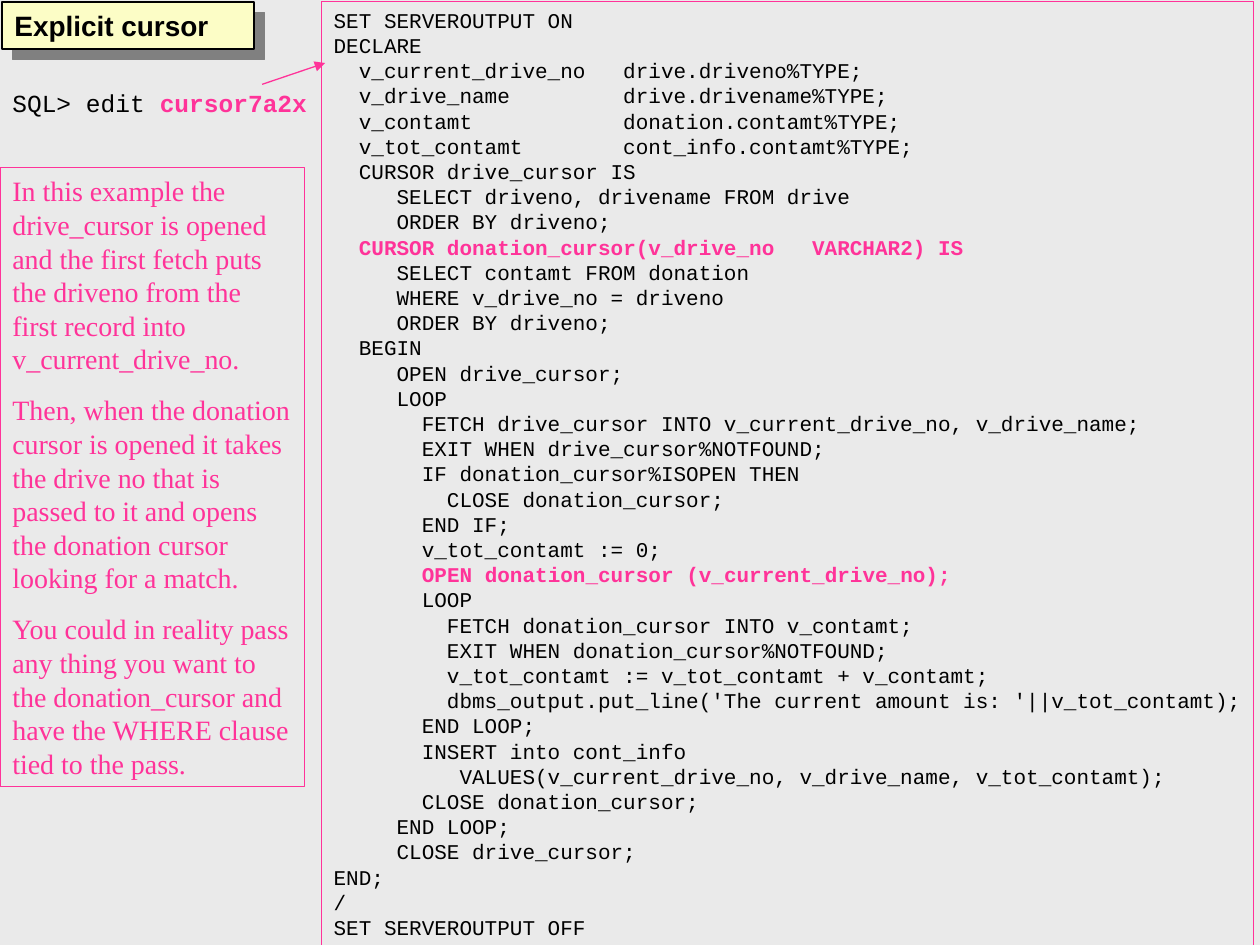
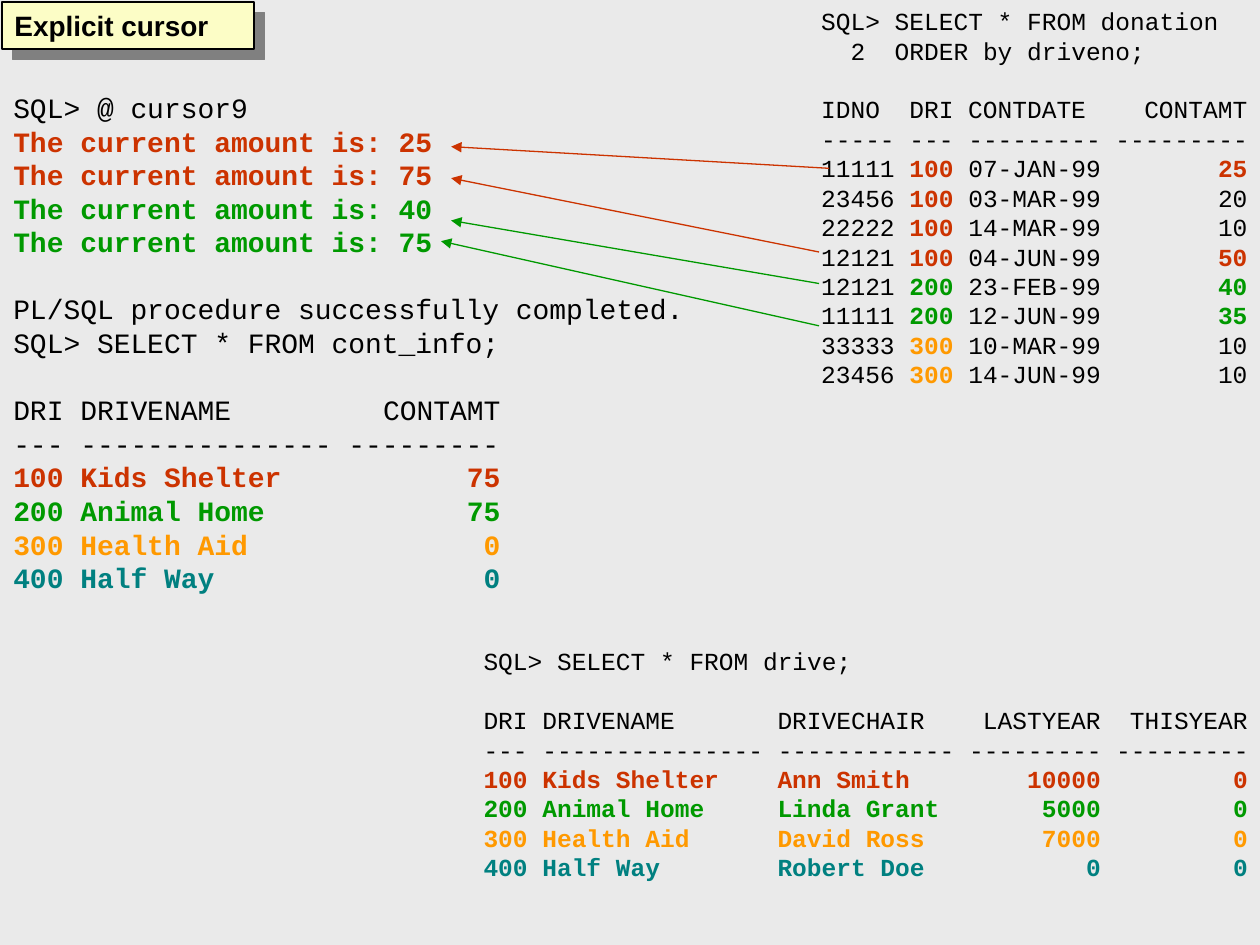
from lxml import etree
from pptx import Presentation
from pptx.dml.color import RGBColor
from pptx.enum.shapes import MSO_CONNECTOR, MSO_SHAPE
from pptx.enum.text import MSO_ANCHOR, PP_ALIGN
from pptx.oxml.ns import qn
from pptx.util import Pt

RECTANGLE = MSO_SHAPE.RECTANGLE
STRAIGHT = MSO_CONNECTOR.STRAIGHT
TOP = MSO_ANCHOR.TOP
LEFT = PP_ALIGN.LEFT

BACKGROUND = RGBColor(0xEA, 0xEA, 0xEA)
TITLE_FILL = RGBColor(0xFC, 0xFD, 0xC6)
BLACK = RGBColor(0x00, 0x00, 0x00)
PINK = RGBColor(0xFF, 0x33, 0x99)
RED = RGBColor(0xCC, 0x33, 0x00)
GREEN = RGBColor(0x00, 0x99, 0x00)
ORANGE = RGBColor(0xFF, 0x99, 0x00)
TEAL = RGBColor(0x00, 0x80, 0x80)
SHADOW_HEX = "808080"

MONO = "Courier New"
SANS = "Arial"
SERIF = "Times New Roman"
LINE_PITCH = 1.2
MONO_ADVANCE = 0.6
LINE_WIDTH = 0.75

DRIVE_COLORS = {"100": RED, "200": GREEN, "300": ORANGE, "400": TEAL}

CURSOR_SCRIPT = [
    "SET SERVEROUTPUT ON",
    "DECLARE",
    "  v_current_drive_no   drive.driveno%TYPE;",
    "  v_drive_name         drive.drivename%TYPE;",
    "  v_contamt            donation.contamt%TYPE;",
    "  v_tot_contamt        cont_info.contamt%TYPE;",
    "  CURSOR drive_cursor IS",
    "     SELECT driveno, drivename FROM drive",
    "     ORDER BY driveno;",
    "  CURSOR donation_cursor(v_drive_no   VARCHAR2) IS",
    "     SELECT contamt FROM donation",
    "     WHERE v_drive_no = driveno",
    "     ORDER BY driveno;",
    "  BEGIN",
    "     OPEN drive_cursor;",
    "     LOOP",
    "       FETCH drive_cursor INTO v_current_drive_no, v_drive_name;",
    "       EXIT WHEN drive_cursor%NOTFOUND;",
    "       IF donation_cursor%ISOPEN THEN",
    "         CLOSE donation_cursor;",
    "       END IF;",
    "       v_tot_contamt := 0;",
    "       OPEN donation_cursor (v_current_drive_no);",
    "       LOOP",
    "         FETCH donation_cursor INTO v_contamt;",
    "         EXIT WHEN donation_cursor%NOTFOUND;",
    "         v_tot_contamt := v_tot_contamt + v_contamt;",
    "         dbms_output.put_line('The current amount is: '||v_tot_contamt);",
    "       END LOOP;",
    "       INSERT into cont_info",
    "          VALUES(v_current_drive_no, v_drive_name, v_tot_contamt);",
    "       CLOSE donation_cursor;",
    "     END LOOP;",
    "     CLOSE drive_cursor;",
    "END;",
    "/",
    "SET SERVEROUTPUT OFF",
]
KEY_STATEMENTS = ("CURSOR donation_cursor", "OPEN donation_cursor")

NOTES = [
    "In this example the drive_cursor is opened and the first fetch puts "
    "the driveno from the first record into v_current_drive_no.",
    "Then, when the donation cursor is opened it takes the drive no that is "
    "passed to it and opens the donation cursor looking for a match.",
    "You could in reality pass any thing you want to the donation_cursor "
    "and have the WHERE clause tied to the pass.",
]

CURSOR_TOTALS = [("25", RED), ("75", RED), ("40", GREEN), ("75", GREEN)]

CONT_INFO = [
    ("100 Kids Shelter", "75"),
    ("200 Animal Home", "75"),
    ("300 Health Aid", "0"),
    ("400 Half Way", "0"),
]

# id, drive, date, amount, whether the amount is highlighted
DONATIONS = [
    ("11111", "100", "07-JAN-99", "25", True),
    ("23456", "100", "03-MAR-99", "20", False),
    ("22222", "100", "14-MAR-99", "10", False),
    ("12121", "100", "04-JUN-99", "50", True),
    ("12121", "200", "23-FEB-99", "40", True),
    ("11111", "200", "12-JUN-99", "35", True),
    ("33333", "300", "10-MAR-99", "10", False),
    ("23456", "300", "14-JUN-99", "10", False),
]

DRIVES = [
    ("100 Kids Shelter", "Ann Smith", "10000", "0"),
    ("200 Animal Home", "Linda Grant", "5000", "0"),
    ("300 Health Aid", "David Ross", "7000", "0"),
    ("400 Half Way", "Robert Doe", "0", "0"),
]


def add_slide(presentation):
    slide = presentation.slides.add_slide(presentation.slide_layouts[6])
    slide.background.fill.solid()
    slide.background.fill.fore_color.rgb = BACKGROUND
    return slide


def add_frame(slide, left, top, width, height, line_color, fill_color=None):
    shape = slide.shapes.add_shape(
        RECTANGLE, Pt(left), Pt(top), Pt(width), Pt(height))
    shape.shadow.inherit = False
    if fill_color is None:
        shape.fill.background()
    else:
        shape.fill.solid()
        shape.fill.fore_color.rgb = fill_color
    shape.line.color.rgb = line_color
    shape.line.width = Pt(LINE_WIDTH)
    shape.text_frame.vertical_anchor = TOP
    return shape


def add_text_box(slide, left, top, width, height):
    return slide.shapes.add_textbox(Pt(left), Pt(top), Pt(width), Pt(height))


def add_tab_stops(paragraph, size, tabs):
    """Place tab stops given as (character column, alignment)."""
    tab_list = etree.SubElement(
        paragraph._p.get_or_add_pPr(), qn("a:tabLst"))
    for column, alignment in tabs:
        etree.SubElement(
            tab_list, qn("a:tab"), algn=alignment,
            pos=str(Pt(column * MONO_ADVANCE * size)))


def write_blocks(shape, blocks, size, font_name=MONO, gap=None, tabs=(),
                 wrap=False, bold=None):
    """Write blocks of lines, each line a list of (text, color) parts.

    Coloured parts are bold unless bold says otherwise. The gap between
    blocks is one line high by default.
    """
    frame = shape.text_frame
    frame.word_wrap = wrap
    pitch = LINE_PITCH * size
    paragraph = None
    for block in blocks:
        for index, parts in enumerate(block):
            first = paragraph is None
            paragraph = frame.paragraphs[0] if first else frame.add_paragraph()
            if tabs:
                add_tab_stops(paragraph, size, tabs)
            paragraph.alignment = LEFT
            paragraph.line_spacing = Pt(pitch)
            if index == 0 and not first:
                paragraph.space_before = Pt(pitch if gap is None else gap)
            paragraph.font.name = font_name
            paragraph.font.size = Pt(size)
            for text, color in parts:
                run = paragraph.add_run()
                run.text = text
                run.font.color.rgb = color
                run.font.bold = color != BLACK if bold is None else bold


def plain(*lines):
    return [[(line, BLACK)] for line in lines]


def drive_rows(rows):
    """Tabbed rows, coloured by the drive number they start with."""
    return [[("\t".join(row), DRIVE_COLORS[row[0][:3]])] for row in rows]


def donation_row(idno, drive, date, amount, highlighted):
    color = DRIVE_COLORS[drive]
    return [(f"{idno}\t", BLACK), (drive, color), (f" {date}\t", BLACK),
            (amount, color if highlighted else BLACK)]


def script_line(line):
    """Split a line so that a key statement stands out from its indent."""
    statement = line.lstrip()
    if not statement.startswith(KEY_STATEMENTS):
        return [(line, BLACK)]
    return [(line[:-len(statement)], BLACK), (statement, PINK)]


def add_title(slide):
    shape = add_frame(slide, 1.2, 1.2, 144, 26.8, BLACK, TITLE_FILL)
    effects = shape._element.spPr.find(qn("a:effectLst"))
    shadow = etree.SubElement(
        effects, qn("a:outerShdw"), dist=str(Pt(8.5)), dir="2700000",
        algn="ctr", rotWithShape="0")
    etree.SubElement(shadow, qn("a:srgbClr"), val=SHADOW_HEX)
    write_blocks(shape, [plain("Explicit cursor")], 16, SANS,
                 wrap=True, bold=True)


def add_arrow(slide, start, end, color):
    connector = slide.shapes.add_connector(
        STRAIGHT, Pt(start[0]), Pt(start[1]), Pt(end[0]), Pt(end[1]))
    connector.line.color.rgb = color
    connector.line.width = Pt(LINE_WIDTH)
    etree.SubElement(
        connector.line._get_or_add_ln(), qn("a:tailEnd"), type="triangle")
    etree.SubElement(connector._element.spPr, qn("a:effectLst"))


def build_script_slide(presentation):
    slide = add_slide(presentation)
    script_frame = add_frame(slide, 183.6, 0.7, 532.8, 540, PINK)
    write_blocks(
        script_frame, [[script_line(line) for line in CURSOR_SCRIPT]], 12)
    add_title(slide)
    command = add_text_box(slide, 0, 46.8, 183, 24.5)
    write_blocks(
        command, [[[("SQL> edit ", BLACK), ("cursor7a2x", PINK)]]], 14)
    add_arrow(slide, (149.8, 48.2), (185.8, 36), PINK)
    note_frame = add_frame(slide, 0, 95.8, 174.2, 353.5, PINK)
    write_blocks(note_frame, [[[(note, PINK)]] for note in NOTES], 16, SERIF,
                 gap=10, wrap=True, bold=False)


def build_output_slide(presentation):
    slide = add_slide(presentation)
    totals = [[(f"The current amount is: {amount}", color)]
              for amount, color in CURSOR_TOTALS]
    output = add_text_box(slide, 0.5, 48.2, 398, 295.2)
    write_blocks(output, [
        plain("SQL> @ cursor9") + totals,
        plain("PL/SQL procedure successfully completed.",
              "SQL> SELECT * FROM cont_info;"),
        plain("DRI DRIVENAME\tCONTAMT", "--- --------------- ---------")
        + drive_rows(CONT_INFO),
    ], 16, tabs=[(29, "r")], wrap=True)
    add_title(slide)

    donations = add_text_box(slide, 462.2, 0, 257.5, 226)
    write_blocks(donations, [
        plain("SQL> SELECT * FROM donation", "  2  ORDER by driveno;"),
        plain("IDNO\tDRI CONTDATE\tCONTAMT", "----- --- --------- ---------")
        + [donation_row(*row) for row in DONATIONS],
    ], 14, tabs=[(6, "l"), (29, "r")], wrap=True)

    add_arrow(slide, (473.8, 96.2), (257.8, 83.8), RED)
    add_arrow(slide, (468, 144), (257.8, 101.8), RED)
    add_arrow(slide, (468, 162), (257.8, 126), GREEN)
    add_arrow(slide, (468, 186.2), (252, 137.8), GREEN)

    drives = add_text_box(slide, 269.2, 365.8, 450.5, 142)
    write_blocks(drives, [
        plain("SQL> SELECT * FROM drive;"),
        plain("DRI DRIVENAME\tDRIVECHAIR\tLASTYEAR\tTHISYEAR",
              "--- --------------- ------------ --------- ---------")
        + drive_rows(DRIVES),
    ], 14, tabs=[(20, "l"), (42, "r"), (52, "r")], wrap=True)

    for console in (output, donations, drives):
        console.text_frame.margin_right = 0


def main():
    presentation = Presentation()
    presentation.slide_width = Pt(720)
    presentation.slide_height = Pt(540)
    build_script_slide(presentation)
    build_output_slide(presentation)
    presentation.save("out.pptx")


if __name__ == "__main__":
    main()
